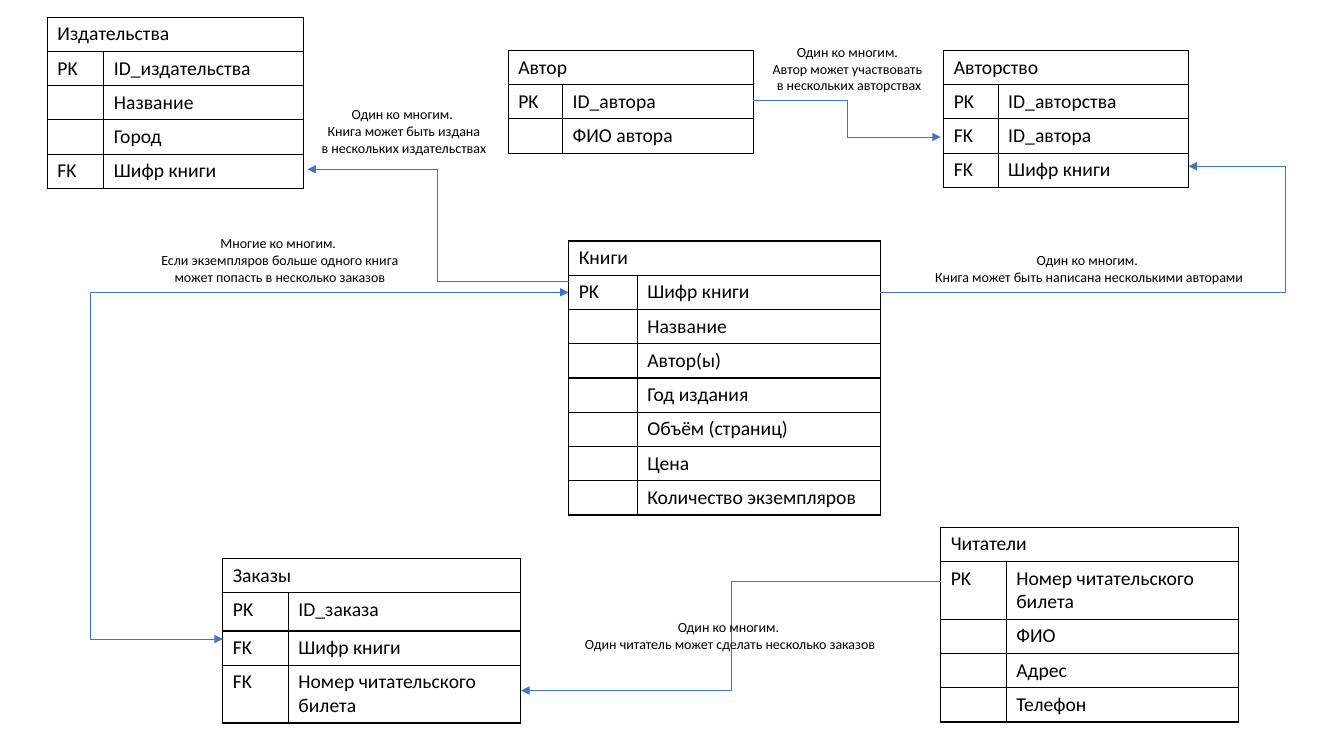
from lxml import etree
from pptx import Presentation
from pptx.dml.color import RGBColor
from pptx.enum.shapes import MSO_CONNECTOR
from pptx.enum.text import MSO_AUTO_SIZE, PP_ALIGN
from pptx.oxml.ns import qn
from pptx.util import Inches, Pt

ELBOW = MSO_CONNECTOR.ELBOW
CENTER = PP_ALIGN.CENTER
FIT = MSO_AUTO_SIZE.SHAPE_TO_FIT_TEXT
FONT, BLACK, BLUE = "Calibri", "000000", "4472C4"
ROW, TALL = 0.34, 0.57
BOTH = ("headEnd", "tailEnd")

TABLES = [
    ((9.33, 5.23), (0.65, 2.3), "Читатели", [
        ("PK", "Номер читательского билета", TALL), ("", "ФИО", ROW),
        ("", "Адрес", ROW), ("", "Телефон", ROW)]),
    ((5.64, 2.39), (0.68, 2.41), "Книги", [
        ("PK", "Шифр книги", ROW), ("", "Название", ROW),
        ("", "Автор(ы)", ROW), ("", "Год издания", ROW),
        ("", "Объём (страниц)", ROW), ("", "Цена", ROW),
        ("", "Количество экземпляров", ROW)]),
    ((0.47, 0.17), (0.56, 1.98), "Издательства", [
        ("PK", "ID_издательства", ROW), ("", "Название", ROW),
        ("", "Город", ROW), ("FK", "Шифр книги", ROW)]),
    ((5.04, 0.5), (0.54, 1.89), "Автор", [
        ("PK", "ID_автора", ROW), ("", "ФИО автора", ROW)]),
    ((9.36, 0.5), (0.54, 1.89), "Авторство", [
        ("PK", "ID_авторства", ROW), ("FK", "ID_автора", ROW),
        ("FK", "Шифр книги", ROW)]),
    ((2.21, 5.54), (0.65, 2.3), "Заказы", [
        ("PK", "ID_заказа", 0.38), ("FK", "Шифр книги", ROW),
        ("FK", "Номер читательского билета", TALL)]),
]

LINKS = [
    ((7.47, 1), (9.33, 1.36), 8.4, BOTH[1:]),
    ((9.33, 5.77), (5.17, 6.85), 7.25, BOTH[1:]),
    ((5.64, 2.9), (2.21, 6.34), 0.9, BOTH),
    ((8.73, 2.9), (11.79, 1.65), 12.75, BOTH[1:]),
    ((5.64, 2.79), (3.05, 1.68), 4.34, BOTH[1:]),
]

NOTES = [
    ((5.67, 6.09, 3.14, 0.44),
     "Один ко многим. \nОдин читатель может сделать несколько заказов"),
    ((1.48, 2.28, 2.59, 0.61),
     "Многие ко многим. \nЕсли экземпляров больше одного книга\n"
     "может попасть в несколько заказов"),
    ((7.55, 0.38, 1.74, 0.61),
     "Один ко многим. \nАвтор может участвовать \nв нескольких авторствах"),
    ((3.07, 1, 1.87, 0.61),
     "Один ко многим. \nКнига может быть издана\nв нескольких издательствах"),
    ((9.15, 2.45, 3.3, 0.44),
     "Один ко многим. \nКнига может быть написана несколькими авторами"),
]


def color(code):
    """Turn a hex string into a colour."""
    return RGBColor.from_string(code)


def style(para, size):
    """Format every run of a paragraph."""
    for run in para.runs:
        run.font.name = FONT
        run.font.size = Pt(size)
        run.font.color.rgb = color(BLACK)


def border(cell):
    """Draw a thin black line on each side of a cell."""
    props = cell._tc.get_or_add_tcPr()
    for i, side in enumerate(("lnL", "lnR", "lnT", "lnB")):
        line = etree.Element(qn("a:" + side), w=str(Pt(1)))
        fill = etree.SubElement(line, qn("a:solidFill"))
        etree.SubElement(fill, qn("a:srgbClr"), val=BLACK)
        props.insert(i, line)


def fill_cell(cell, text):
    """Write one table cell with its font, fill and border."""
    cell.text = text
    para = cell.text_frame.paragraphs[0]
    style(para, 14)
    if not text:
        etree.SubElement(para._p, qn("a:endParaRPr"), sz="1400")
    cell.fill.background()
    border(cell)


def add_entity(slide, spot, widths, title, fields):
    """Add one entity table with a title row and its key and field rows."""
    rows = [(title, "", ROW)] + fields
    size = sum(widths), sum(row[2] for row in rows)
    table = slide.shapes.add_table(
        len(rows), 2, *map(Inches, spot + size)).table
    table.first_row = table.horz_banding = False
    for col, width in zip(table.columns, widths):
        col.width = Inches(width)
    for r, (key, name, height) in enumerate(rows):
        table.rows[r].height = Inches(height)
        fill_cell(table.cell(r, 0), key)
        fill_cell(table.cell(r, 1), name)
    table.cell(0, 0).merge(table.cell(0, 1))


def add_link(slide, start, end, bend, ends):
    """Add an elbow arrow whose upright part stands at bend."""
    link = slide.shapes.add_connector(ELBOW, *map(Inches, start + end))
    link.line.color.rgb = color(BLUE)
    link.line.width = Pt(0.5)
    for tip in ends:
        etree.SubElement(link.line._ln, qn("a:" + tip), type="triangle")
    ratio = round((bend - start[0]) / (end[0] - start[0]) * 100000)
    guides = next(link.element.iter(qn("a:avLst")))
    etree.SubElement(guides, qn("a:gd"), name="adj1", fmla=f"val {ratio}")
    etree.SubElement(link.element.spPr, qn("a:effectLst"))


def add_note(slide, box, text):
    """Add a centred note about a relation."""
    frame = slide.shapes.add_textbox(*map(Inches, box)).text_frame
    frame.word_wrap = False
    frame.auto_size = FIT
    frame.text = text
    for para in frame.paragraphs:
        para.alignment = CENTER
        style(para, 10)


def main():
    """Build the library data model slide."""
    deck = Presentation()
    deck.slide_width, deck.slide_height = Inches(13.33), Inches(7.5)
    slide = deck.slides.add_slide(deck.slide_layouts[6])
    for entity in TABLES:
        add_entity(slide, *entity)
    for link in LINKS:
        add_link(slide, *link)
    for note in NOTES:
        add_note(slide, *note)
    deck.save("out.pptx")


if __name__ == "__main__":
    main()
